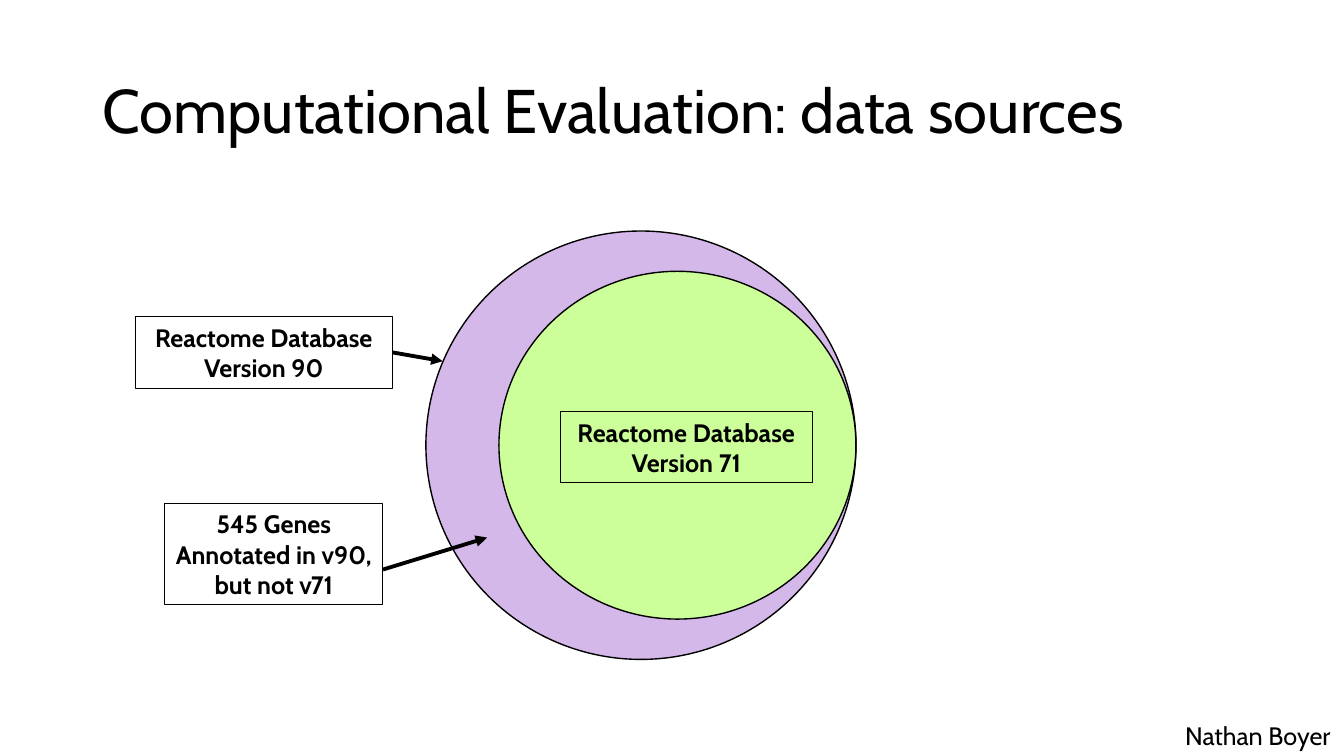
from pptx import Presentation
from pptx import util as u
from pptx.dml.color import RGBColor
from pptx.enum import shapes, text
from pptx.oxml.ns import qn
from lxml import etree

COLOURS = {"ink": "000000", "version_90": "D5B8EA", "version_71": "CCFF99"}
FONT = "Cabin"
COLUMNS, ROWS = 16, 9


class SlideBuilder:
    """Places styled elements on a grid of 16 columns by 9 rows."""

    def __init__(self, presentation):
        self.column = presentation.slide_width / COLUMNS
        self.row = presentation.slide_height / ROWS
        self.slide = presentation.slides.add_slide(presentation.slide_layouts[5])

    def place(self, *lengths):
        units = (self.column, self.row) * 2
        return [u.Emu(round(length * unit)) for length, unit in zip(lengths, units)]

    def colour(self, name):
        return RGBColor.from_string(COLOURS[name])

    def outline(self, shape, width):
        shape.line.color.rgb = self.colour("ink")
        shape.line.width = u.Pt(width)

    def add_words(self, frame, words, size, alignment=text.PP_ALIGN.LEFT, bold=False):
        paragraph = frame.paragraphs[0]
        paragraph.alignment = alignment
        run = paragraph.add_run()
        run.text = words
        run.font.name, run.font.size, run.font.bold = FONT, u.Pt(size), bold
        run.font.color.rgb = self.colour("ink")
        return paragraph

    def title(self, words, *box):
        title = self.slide.shapes.title
        title.left, title.top, title.width, title.height = self.place(*box)
        frame = title.text_frame
        frame.vertical_anchor = text.MSO_ANCHOR.MIDDLE
        frame.auto_size = text.MSO_AUTO_SIZE.NONE
        self.add_words(frame, words, 44).line_spacing = 0.9

    def ellipses(self, *ellipses):
        group = self.slide.shapes.add_group_shape()
        for fill, box in ellipses:
            shape = group.shapes.add_shape(shapes.MSO_SHAPE.OVAL, *self.place(*box))
            shape.shadow.inherit = False
            shape.fill.solid()
            shape.fill.fore_color.rgb = self.colour(fill)
            self.outline(shape, 1)

    def label(self, words, *box):
        shape = self.slide.shapes.add_shape(shapes.MSO_SHAPE.RECTANGLE, *self.place(*box))
        shape.shadow.inherit = False
        shape.fill.background()
        self.outline(shape, 0.75)
        shape.text_frame.word_wrap = True
        self.add_words(shape.text_frame, words, 18, text.PP_ALIGN.CENTER, bold=True)
        return shape

    def arrow(self, start, end, source=None):
        connector = self.slide.shapes.add_connector(
            shapes.MSO_CONNECTOR.STRAIGHT, *self.place(*start, *end))
        self.outline(connector, 2.75)
        properties = connector._element.spPr
        etree.SubElement(properties.find(qn("a:ln")), qn("a:tailEnd"), type="triangle")
        etree.SubElement(properties, qn("a:effectLst"))
        if source is not None:
            connector.begin_connect(source, 3)

    def caption(self, words, *box):
        frame = self.slide.shapes.add_textbox(*self.place(*box)).text_frame
        frame.word_wrap = False
        self.add_words(frame, words, 18)


def main():
    presentation = Presentation()
    presentation.slide_width, presentation.slide_height = u.Inches(13.33), u.Inches(7.5)
    builder = SlideBuilder(presentation)

    builder.title("Computational Evaluation: data sources", 1.1, 0.48, 13.8, 1.74)

    # Nested database versions
    builder.ellipses(("version_90", (5.07, 2.75, 5.12, 5.1)),
                     ("version_71", (5.94, 3.23, 4.25, 4.14)))

    # Labels and their arrows
    version_90 = builder.label("Reactome Database Version 90", 1.61, 3.77, 3.06, 0.85)
    builder.arrow((4.67, 4.2), (5.27, 4.3), source=version_90)
    builder.label("Reactome Database Version 71", 6.67, 4.9, 3, 0.85)
    builder.label("545 Genes Annotated in v90, but not v71", 1.96, 5.99, 2.6, 1.21)
    builder.arrow((4.56, 6.78), (5.8, 6.4))

    # Author
    builder.caption("Nathan Boyer", 13.99, 8.52, 2.01, 0.48)

    presentation.save("out.pptx")


if __name__ == "__main__":
    main()
